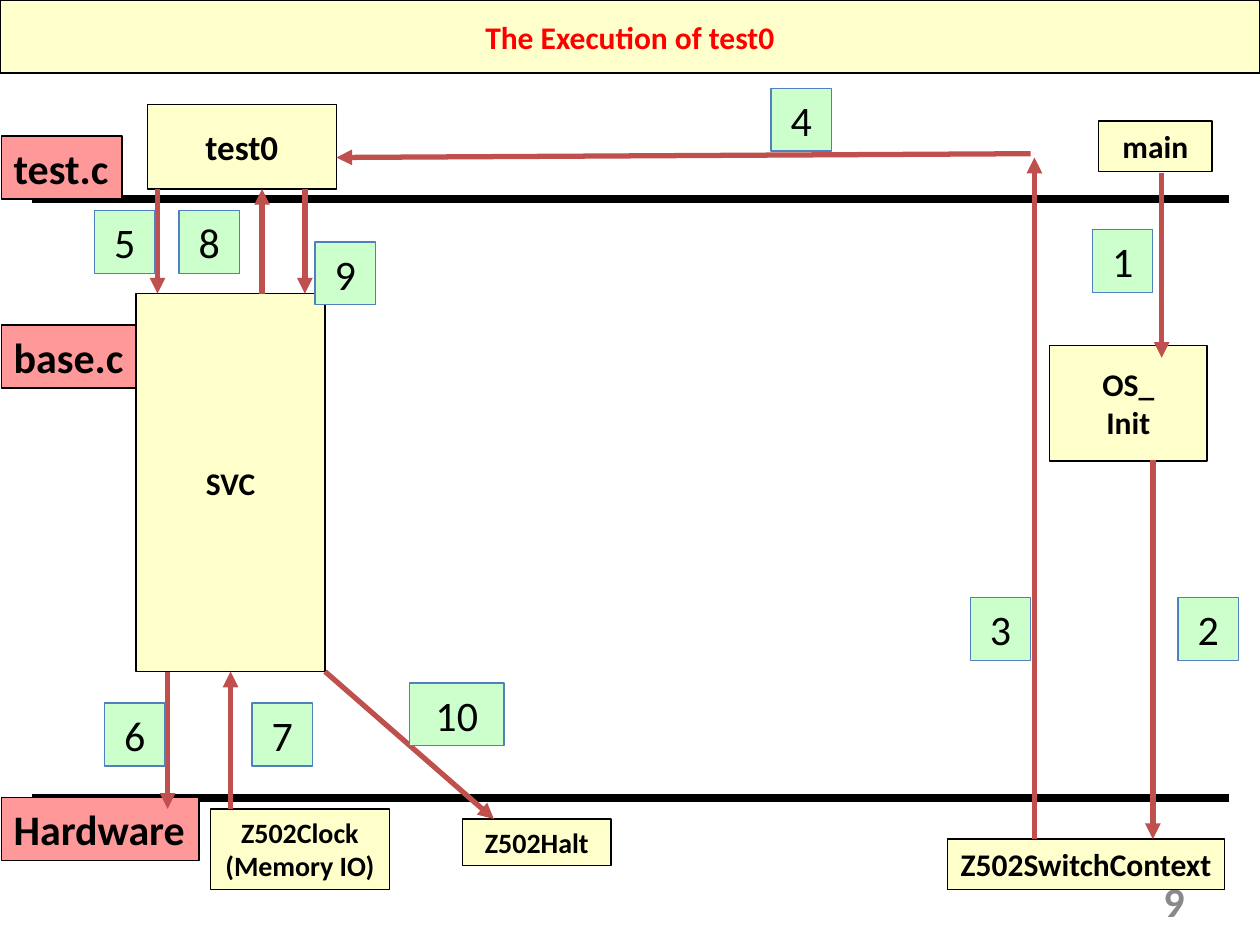
import pptx
import pptx.util
import pptx.dml.color
import pptx.enum.shapes
import pptx.enum.text
from dataclasses import dataclass
from pptx.oxml.ns import qn
from lxml import etree

Inches = pptx.util.Inches
Align = pptx.enum.text.PP_ALIGN
Anchor = pptx.enum.text.MSO_ANCHOR
AutoSize = pptx.enum.text.MSO_AUTO_SIZE


@dataclass(frozen=True)
class Theme:
    font: str = "Calibri"
    black: str = "000000"
    title: str = "FF0000"
    box: str = "FFFFCC"
    layer: str = "FF9999"
    step: str = "CCFFCC"
    step_line: str = "4F81BD"
    arrow: str = "C0504D"
    page: str = "898989"
    large: int = 24
    medium: int = 20
    normal: int = 18
    small: int = 16
    outline: float = 0.75
    arrow_width: float = 3
    divider_width: float = 4.5


THEME = Theme()
TITLE = "The Execution of test0"
PAGE = "9"
DIVIDERS = [1.58, 6.33]
LAYERS = [("test.c", 1.08, 0.96), ("Hardware", 6.33, 1.57), ("base.c", 2.58, 1.07)]

# lines, position, size, fits its text, wraps
MODULES = [
    (["Z502Clock", "(Memory IO)"], (1.67, 6.42, 1.42, 0.64), THEME.small, True, True),
    (["Z502SwitchContext"], (7.52, 6.66, 2.2, 0.4), THEME.normal, True, False),
    (["SVC"], (1.08, 2.33, 1.5, 3), THEME.normal, False, False),
    (["OS_", "Init"], (8.33, 2.74, 1.25, 0.92), THEME.normal, False, False),
    (["test0"], (1.17, 0.83, 1.5, 0.67), THEME.medium, False, False),
    (["main"], (8.72, 0.96, 0.9, 0.4), THEME.normal, True, True),
    (["Z502Halt"], (3.67, 6.5, 1.18, 0.37), THEME.small, True, True),
]
ARROWS = [
    ((9.22, 1.37), (9.22, 2.84)),
    ((9.15, 3.65), (9.15, 6.66)),
    ((8.21, 6.66), (8.21, 1.25)),
    ((8.18, 1.22), (2.67, 1.25)),
    ((1.25, 1.5), (1.25, 2.33)),
    ((2.42, 1.5), (2.42, 2.33)),
    ((1.33, 5.33), (1.33, 6.42)),
    ((2.58, 5.33), (3.92, 6.5)),
    ((2.08, 2.33), (2.08, 1.5)),
    ((1.83, 6.42), (1.83, 5.33)),
]
STEPS = {
    4: (6.12, 0.7), 10: (3.25, 5.42), 9: (2.5, 1.92), 7: (2, 5.58), 8: (1.42, 1.67),
    6: (0.83, 5.58), 5: (0.75, 1.67), 3: (7.7, 4.74), 2: (9.35, 4.74), 1: (8.67, 1.82),
}
STEP_HEIGHT = 0.5


def color(value):
    return pptx.dml.color.RGBColor.from_string(value)


def write(shape, lines, size, text_color=THEME.black, bold=True, align=Align.CENTER,
          anchor=Anchor.MIDDLE, fit=False, wrap=True):
    frame = shape.text_frame
    frame.auto_size = AutoSize.SHAPE_TO_FIT_TEXT if fit else AutoSize.NONE
    frame.word_wrap = wrap
    frame.vertical_anchor = anchor
    for index, line in enumerate(lines):
        paragraph = frame.add_paragraph() if index else frame.paragraphs[0]
        paragraph.alignment = align
        run = paragraph.add_run()
        run.text = line
        run.font.name = THEME.font
        run.font.size = pptx.util.Pt(size)
        run.font.bold = bold
        run.font.color.rgb = color(text_color)


def paint(shape, fill, line=THEME.black):
    shape.fill.solid()
    shape.fill.fore_color.rgb = color(fill)
    shape.line.color.rgb = color(line)
    shape.line.width = pptx.util.Pt(THEME.outline)


def add_box(slide, place, fill, line=THEME.black):
    rectangle = pptx.enum.shapes.MSO_SHAPE.RECTANGLE
    shape = slide.shapes.add_shape(rectangle, *map(Inches, place))
    shape.shadow.inherit = False
    paint(shape, fill, line)
    return shape


def add_line(slide, start, end, line_color, width, arrow=False):
    straight = pptx.enum.shapes.MSO_CONNECTOR.STRAIGHT
    connector = slide.shapes.add_connector(straight, *map(Inches, start + end))
    connector.line.color.rgb = color(line_color)
    connector.line.width = pptx.util.Pt(width)
    if arrow:
        line = connector.line._get_or_add_ln()
        etree.SubElement(line, qn("a:tailEnd")).set("type", "triangle")
    etree.SubElement(connector._element.spPr, qn("a:effectLst"))


def main():
    presentation = pptx.Presentation()
    presentation.slide_width, presentation.slide_height = Inches(10), Inches(7.5)
    slide = presentation.slides.add_slide(presentation.slide_layouts[5])

    page = slide.shapes.add_textbox(*map(Inches, (7.17, 6.95, 2.33, 0.4)))
    write(page, [PAGE], THEME.large, THEME.page, align=Align.RIGHT)

    title = slide.shapes.title
    title.left, title.top, title.width, title.height = map(Inches, (0, 0, 10, 0.58))
    paint(title, THEME.box)
    write(title, [TITLE], THEME.normal, THEME.title)

    for top in DIVIDERS:
        add_line(slide, (0.25, top), (9.75, top), THEME.black, THEME.divider_width)

    for name, top, width in LAYERS:
        shape = add_box(slide, (0.01, top, width, 0.5), THEME.layer)
        write(shape, [name], THEME.large, align=Align.LEFT, anchor=Anchor.TOP,
              fit=True, wrap=False)

    for lines, place, size, fit, wrap in MODULES:
        anchor = Anchor.TOP if fit else Anchor.MIDDLE
        write(add_box(slide, place, THEME.box), lines, size, anchor=anchor, fit=fit, wrap=wrap)

    for start, end in ARROWS:
        add_line(slide, start, end, THEME.arrow, THEME.arrow_width, arrow=True)

    for number, (left, top) in STEPS.items():
        width = 0.48 if number < 10 else 0.75
        shape = add_box(slide, (left, top, width, STEP_HEIGHT), THEME.step, THEME.step_line)
        write(shape, [str(number)], THEME.large, bold=False, anchor=Anchor.TOP, fit=True)

    presentation.save("out.pptx")


if __name__ == "__main__":
    main()
